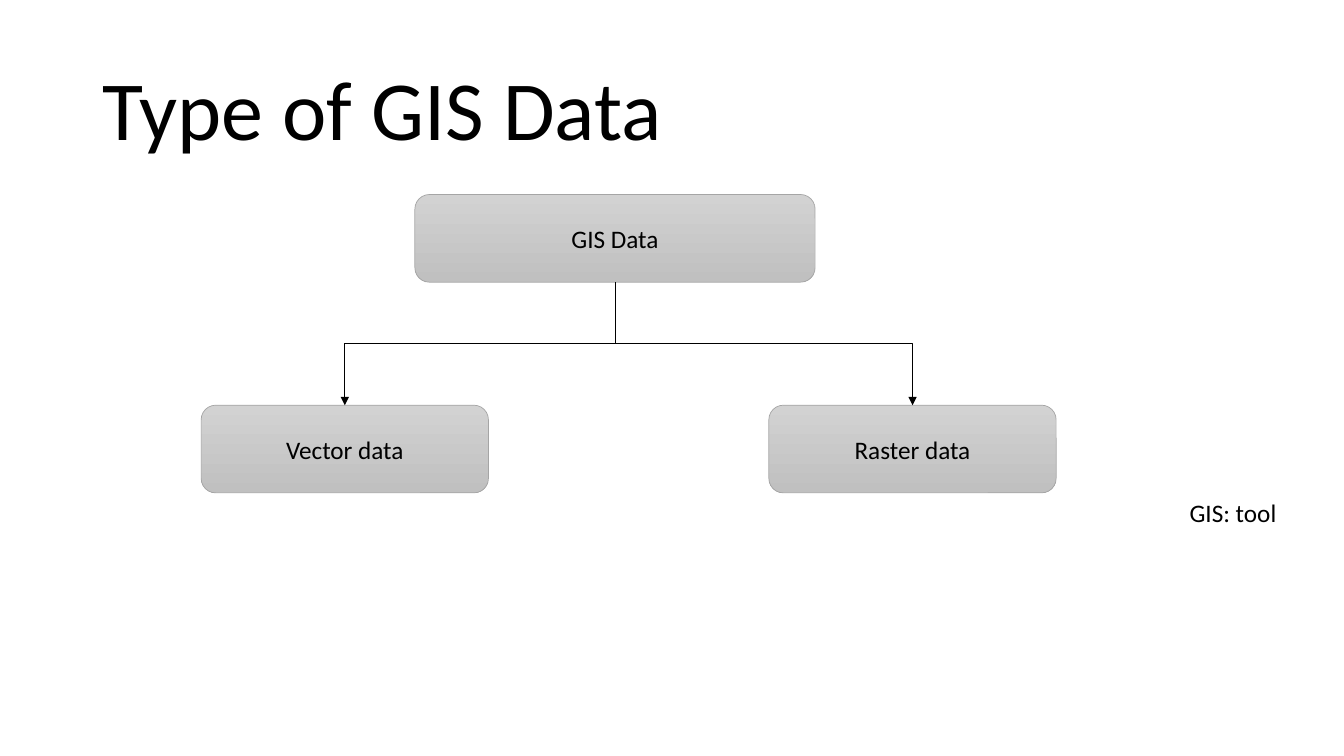
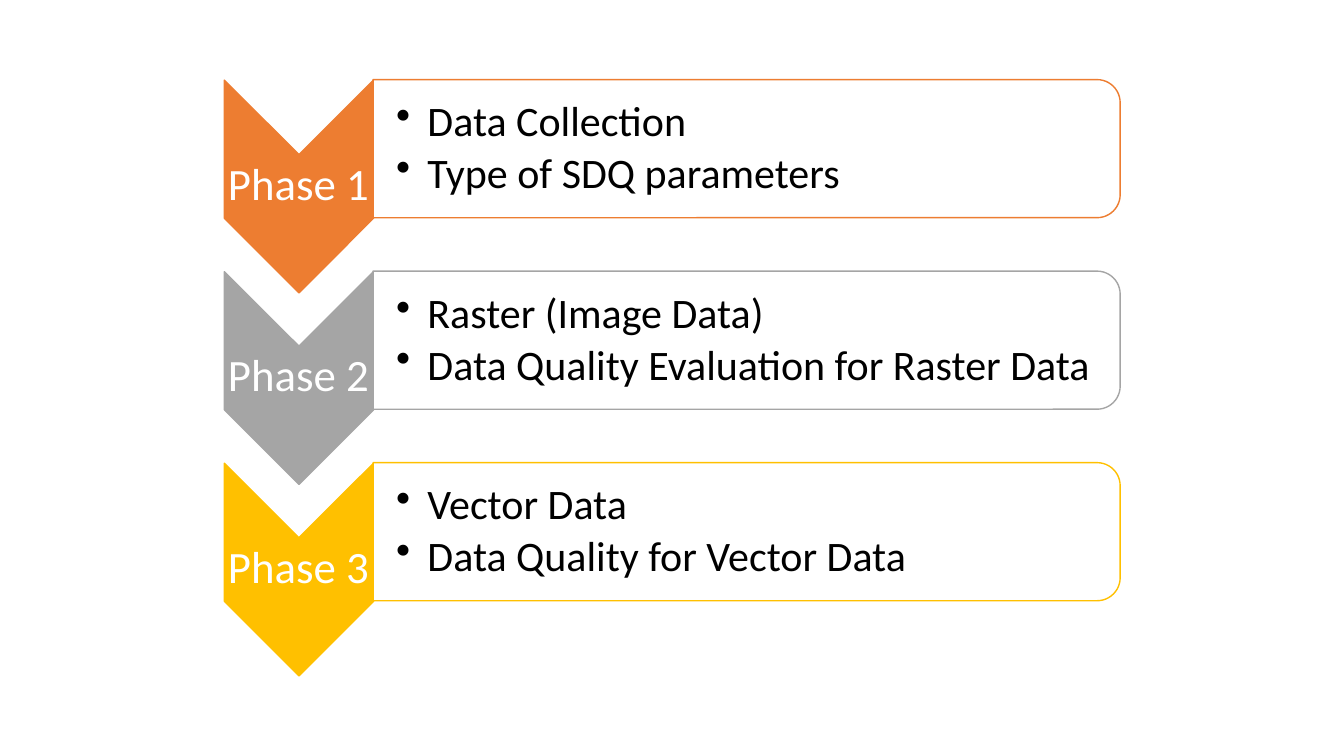
import pptx
import pptx.chart.data
import pptx.dml.color
import pptx.enum.dml
import pptx.enum.shapes
import pptx.enum.text
import pptx.oxml
import pptx.oxml.ns
import pptx.util

Inches = pptx.util.Inches
Pt = pptx.util.Pt
SHAPE = pptx.enum.shapes.MSO_SHAPE
ALIGN = pptx.enum.text.PP_ALIGN
ANCHOR = pptx.enum.text.MSO_ANCHOR
FONT = "Calibri"
COLORS = {
    "text": "000000",
    "white": "FFFFFF",
    "gray": "A5A5A5",
    "orange": "ED7D31",
    "gold": "FFC000",
    "node_top": "D2D2D2",
    "node_bottom": "C0C0C0",
}


def rgb(name):
    return pptx.dml.color.RGBColor.from_string(COLORS[name])


def write(box, lines, size, color="text", align=ALIGN.LEFT, anchor=ANCHOR.MIDDLE,
          spacing=1.0, after=0, insets=(0.1, 0.05), bullet=False):
    frame = box.text_frame
    frame.word_wrap = True
    frame.vertical_anchor = anchor
    frame.margin_left = Inches(insets[0])
    frame.margin_right = Inches(min(insets))if bullet else Inches(insets[0])
    frame.margin_top = frame.margin_bottom = Inches(insets[1])
    frame.text = "\n".join(lines)
    for para in frame.paragraphs:
        para.alignment = align
        para.line_spacing = spacing
        para.space_after = Pt(after)
        if bullet:
            props = para._p.get_or_add_pPr()
            props.set("marL", str(Inches(0.31)))
            props.set("indent", str(-Inches(0.31)))
            mark = pptx.oxml.parse_xml(
                f'<a:buChar {pptx.oxml.ns.nsdecls("a")} char="•"/>')
            props.append(mark)
        for span in para.runs:
            span.font.name = FONT
            span.font.size = Pt(size)
            span.font.color.rgb = rgb(color)


deck = pptx.Presentation()
deck.slide_width = Inches(13.33)
deck.slide_height = Inches(7.5)
blank = deck.slide_layouts[6]

page = deck.slides.add_slide(blank)
title = page.shapes.add_textbox(Inches(0.92), Inches(0.4), Inches(11.5), Inches(1.22))
write(title, ["Type of GIS Data"], 60, anchor=ANCHOR.BOTTOM, spacing=0.9)

node_height, root_top, leaf_top = 0.87, 1.93, 4.02
root_bottom = root_top + node_height
root_center = 6.1
nodes = []
for label, center, top, width in [
    ("GIS Data", root_center, root_top, 3.97),
    ("Raster data", 9.05, leaf_top, 2.85),
    ("Vector data", 3.42, leaf_top, 2.85),
]:
    node = page.shapes.add_shape(
        SHAPE.ROUNDED_RECTANGLE, Inches(center - width / 2), Inches(top),
        Inches(width), Inches(node_height))
    node.shadow.inherit = False
    node.fill.gradient()
    node.fill.gradient_angle = 270
    for stop, color in zip(node.fill.gradient_stops, ("node_top", "node_bottom")):
        stop.color.rgb = rgb(color)
    node.line.color.rgb = rgb("gray")
    node.line.width = Pt(0.5)
    write(node, [label], 18, align=ALIGN.CENTER)
    nodes.append((node, center))

root = nodes[0][0]
drop = leaf_top - root_bottom
for leaf, center in nodes[1:]:
    link = page.shapes.add_connector(
        pptx.enum.shapes.MSO_CONNECTOR.ELBOW, Inches(root_center), Inches(root_bottom),
        Inches(center), Inches(leaf_top))
    link.begin_connect(root, 2)
    link.end_connect(leaf, 0)
    reach = abs(center - root_center)
    link.left = Inches((root_center + center - drop) / 2)
    link.top = Inches((root_bottom + leaf_top - reach) / 2)
    link.width, link.height = Inches(drop), Inches(reach)
    to_right = center > root_center
    frame = link._element.spPr.find(pptx.oxml.ns.qn("a:xfrm"))
    frame.set("rot", str((270 if to_right else 90) * 60000))
    frame.set("flipH", "1" if to_right else "0")
    link.line.color.rgb = rgb("text")
    link.line.width = Pt(0.5)
    for parent, tag in [(link.line._get_or_add_ln(), 'tailEnd type="triangle"'),
                        (link._element.spPr, "effectLst")]:
        name, _, attributes = tag.partition(" ")
        parent.append(pptx.oxml.parse_xml(
            f'<a:{name} {pptx.oxml.ns.nsdecls("a")} {attributes}/>'))

note = page.shapes.add_textbox(Inches(11.7), Inches(4.88), Inches(1.24), Inches(0.4))
write(note, ["GIS: tool"], 18, anchor=ANCHOR.TOP)

page = deck.slides.add_slide(blank)
phases = [
    ("orange", ["Data Collection", "Type of SDQ parameters"]),
    ("gray", ["Raster (Image Data)", "Data Quality Evaluation for Raster Data"]),
    ("gold", ["Vector Data", "Data Quality for Vector Data"]),
]
for index, (color, topics) in enumerate(phases):
    shift = 1.9 * index
    for kind, left, top, width, height, fill in [
        (SHAPE.CHEVRON, 1.91, 1.11, 2.11, 1.48, color),
        (SHAPE.ROUND_2_SAME_RECTANGLE, 6.72, -2.23, 1.37, 7.41, "white"),
    ]:
        shape = page.shapes.add_shape(
            kind, Inches(left), Inches(top + shift), Inches(width), Inches(height))
        shape.rotation = 90
        shape.shadow.inherit = False
        shape.fill.solid()
        shape.fill.fore_color.rgb = rgb(fill)
        shape.line.color.rgb = rgb(color)
        shape.line.width = Pt(1)
    label = page.shapes.add_textbox(
        Inches(2.22), Inches(1.53 + shift), Inches(1.48), Inches(0.63))
    write(label, [f"Phase {index + 1}"], 32, color="white", align=ALIGN.CENTER,
          spacing=0.9, insets=(0.02, 0.02))
    details = page.shapes.add_textbox(
        Inches(3.7), Inches(0.86 + shift), Inches(7.34), Inches(1.24))
    write(details, topics, 30, spacing=0.9, after=4.5, insets=(0.23, 0.02), bullet=True)

deck.save("out.pptx")
